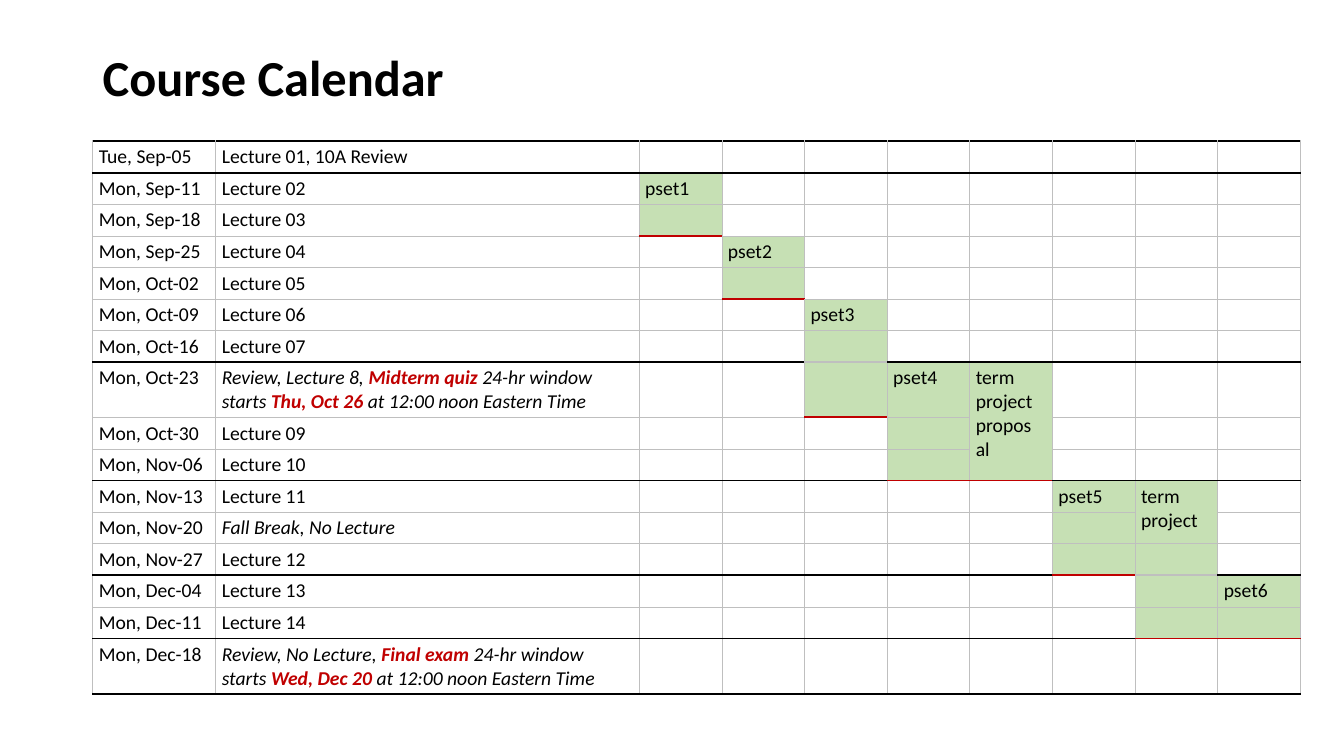
from typing import NamedTuple

from lxml.etree import SubElement
from pptx import Presentation
from pptx.dml.color import RGBColor
from pptx.enum.text import MSO_ANCHOR as Anchor
from pptx.oxml.ns import qn
from pptx.util import Inches, Pt

BLACK = RGBColor(0x00, 0x00, 0x00)
GREY = RGBColor(0xBF, 0xBF, 0xBF)
RED = RGBColor(0xC0, 0x00, 0x00)
GREEN = RGBColor(0xC6, 0xE0, 0xB4)

FONT = "Calibri"
BODY_SIZE = 14
COLUMN_WIDTHS = [1.22, 4.2] + [0.82] * 8
ROW_HEIGHT, TALL_ROW_HEIGHT = 0.26, 0.51
SECTION_LINES = {0, 1, 7, 10, 13, 15, 16}


class Span(NamedTuple):
    text: str
    color: RGBColor = BLACK
    bold: bool = False
    italic: bool = False


class Week(NamedTuple):
    date: str
    topic: list[Span]
    tall: bool = False


class Assignment(NamedTuple):
    """Work that runs from row start up to, not including, row end."""
    name: str
    column: int
    start: int
    end: int
    merged_rows: int = 1


class Line(NamedTuple):
    color: RGBColor
    width: float


def lecture(date: str, number: int, suffix: str = "") -> Week:
    return Week(date, [Span(f"Lecture {number:02d}{suffix}")])


def exam_week(date: str, lead: str, event: str, day: str) -> Week:
    topic = [
        Span(lead, italic=True),
        Span(event, RED, True, True),
        Span(" 24-hr window \nstarts ", italic=True),
        Span(day, RED, True, True),
        Span(" at 12:00 noon Eastern Time", italic=True),
    ]
    return Week(date, topic, tall=True)


WEEKS = [
    lecture("Tue, Sep-05", 1, ", 10A Review"),
    lecture("Mon, Sep-11", 2),
    lecture("Mon, Sep-18", 3),
    lecture("Mon, Sep-25", 4),
    lecture("Mon, Oct-02", 5),
    lecture("Mon, Oct-09", 6),
    lecture("Mon, Oct-16", 7),
    exam_week("Mon, Oct-23", "Review, Lecture 8, ", "Midterm quiz", "Thu, Oct 26"),
    lecture("Mon, Oct-30", 9),
    lecture("Mon, Nov-06", 10),
    lecture("Mon, Nov-13", 11),
    Week("Mon, Nov-20", [Span("Fall Break, No Lecture", italic=True)]),
    lecture("Mon, Nov-27", 12),
    lecture("Mon, Dec-04", 13),
    lecture("Mon, Dec-11", 14),
    exam_week("Mon, Dec-18", "Review, No Lecture, ", "Final exam", "Wed, Dec 20"),
]

ASSIGNMENTS = [
    Assignment("pset1", 2, 1, 3),
    Assignment("pset2", 3, 3, 5),
    Assignment("pset3", 4, 5, 8),
    Assignment("pset4", 5, 7, 10),
    Assignment("term\nproject\nproposal", 6, 7, 10, merged_rows=3),
    Assignment("pset5", 7, 10, 13),
    Assignment("term\nproject", 8, 10, 15, merged_rows=2),
    Assignment("pset6", 9, 13, 15),
]
BY_COLUMN = {work.column: work for work in ASSIGNMENTS}


def add_text(para, text: str, *, size: float = BODY_SIZE, color: RGBColor = BLACK,
             bold: bool = False, italic: bool = False) -> None:
    for index, piece in enumerate(text.split("\n")):
        if index:
            para.add_line_break()
        span = para.add_run()
        span.text = piece
        font = span.font
        font.name, font.size, font.bold, font.italic = FONT, Pt(size), bold, italic
        font.color.rgb = color


def horizontal_line(column: int, row: int) -> Line:
    """Line above the given row: red at a deadline, grey inside an assignment."""
    work = BY_COLUMN.get(column)
    if work and row == work.end:
        return Line(RED, 1.5)
    is_section = row in SECTION_LINES
    inside = work is not None and work.start < row < work.end
    return Line(BLACK if is_section and not inside else GREY, 1.5 if is_section else 0.5)


def vertical_line(column: int) -> Line:
    return Line(GREY, 1 if column == 2 else 0.5)


def set_borders(cell, row: int, column: int, height: int) -> None:
    properties = cell._tc.get_or_add_tcPr()
    borders = {
        "a:lnL": vertical_line(column),
        "a:lnR": vertical_line(column + 1),
        "a:lnT": horizontal_line(column, row),
        "a:lnB": horizontal_line(column, row + height),
    }
    for tag, line in borders.items():
        border = SubElement(properties, qn(tag), w=str(Pt(line.width)))
        fill = SubElement(border, qn("a:solidFill"))
        SubElement(fill, qn("a:srgbClr"), val=str(line.color))


def fill_cell(cell, row: int, column: int) -> None:
    work = BY_COLUMN.get(column)
    starts = work is not None and row == work.start
    merged_rows = work.merged_rows if starts else 1
    cell.margin_left = Inches(0.06)
    cell.margin_right = Inches(0.13 if merged_rows > 1 else 0.01)
    cell.margin_top = cell.margin_bottom = Inches(0.04)
    if not cell.is_spanned:
        set_borders(cell, row, column, merged_rows)
    if work and work.start <= row < work.end:
        cell.fill.solid()
        cell.fill.fore_color.rgb = GREEN
    else:
        cell.fill.background()

    para = cell.text_frame.paragraphs[0]
    if column == 0:
        add_text(para, WEEKS[row].date)
    elif column == 1:
        for span in WEEKS[row].topic:
            add_text(para, span.text, color=span.color, bold=span.bold, italic=span.italic)
    elif starts:
        add_text(para, work.name)
    else:
        SubElement(para._p, qn("a:endParaRPr"), sz=str(BODY_SIZE * 100))


def add_title(page) -> None:
    box = page.shapes.add_textbox(Inches(0.92), Inches(0.4), Inches(11.5), Inches(0.8))
    frame = box.text_frame
    frame.word_wrap = True
    frame.vertical_anchor = Anchor.MIDDLE
    para = frame.paragraphs[0]
    para.line_spacing = 0.9
    add_text(para, "Course Calendar", size=36, bold=True)


def add_calendar(page) -> None:
    heights = [TALL_ROW_HEIGHT if week.tall else ROW_HEIGHT for week in WEEKS]
    table = page.shapes.add_table(
        len(WEEKS), len(COLUMN_WIDTHS), Inches(0.92), Inches(1.4),
        Inches(sum(COLUMN_WIDTHS)), Inches(sum(heights))).table
    table.first_row = table.horz_banding = False
    for column, width in zip(table.columns, COLUMN_WIDTHS):
        column.width = Inches(width)
    for row, height in zip(table.rows, heights):
        row.height = Inches(height)
    for work in ASSIGNMENTS:
        if work.merged_rows > 1:
            last = table.cell(work.start + work.merged_rows - 1, work.column)
            table.cell(work.start, work.column).merge(last)
    for row in range(len(WEEKS)):
        for column in range(len(COLUMN_WIDTHS)):
            fill_cell(table.cell(row, column), row, column)


def main() -> None:
    deck = Presentation()
    deck.slide_width, deck.slide_height = Inches(13.33), Inches(7.5)
    page = deck.slides.add_slide(deck.slide_layouts[6])
    add_title(page)
    add_calendar(page)
    deck.save("out.pptx")


if __name__ == "__main__":
    main()
